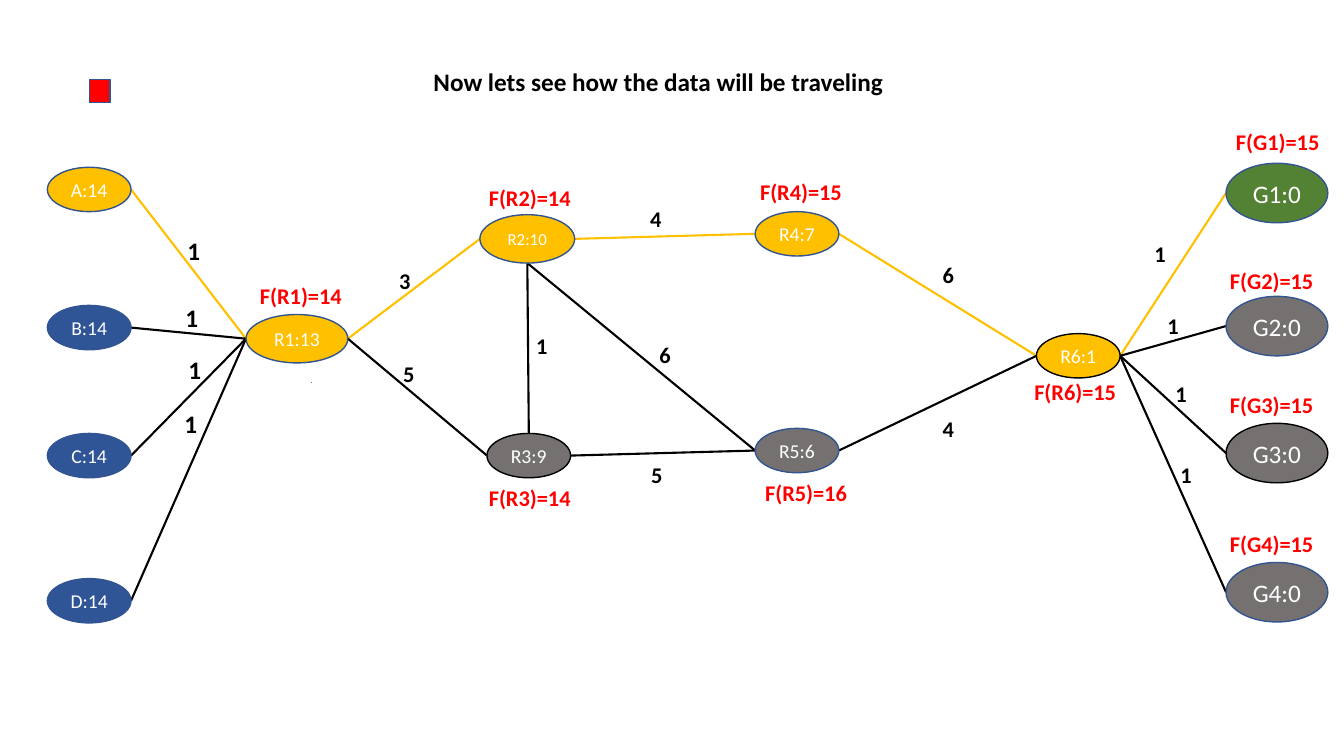
from dataclasses import dataclass

from lxml import etree
from pptx import Presentation
from pptx.dml.color import RGBColor
from pptx.enum import shapes, text
from pptx.oxml import ns
from pptx.util import Inches, Pt

FONT = "Calibri"
BLACK = RGBColor(0x00, 0x00, 0x00)
WHITE = RGBColor(0xFF, 0xFF, 0xFF)
RED = RGBColor(0xFF, 0x00, 0x00)
GOLD = RGBColor(0xFF, 0xC0, 0x00)
GREEN = RGBColor(0x54, 0x82, 0x35)
GRAY = RGBColor(0x76, 0x71, 0x71)
BLUE = RGBColor(0x2F, 0x55, 0x97)
OUTLINE = RGBColor(0x32, 0x54, 0x91)
ACCENT = RGBColor(0x44, 0x72, 0xC4)

SMALL, WIDE, GOAL = (0.83, 0.44), (1.01, 0.48), (1.01, 0.59)


@dataclass(frozen=True)
class Node:
    label: str
    left: float
    top: float
    fill: RGBColor
    size: tuple[float, float] = SMALL
    font_size: int = 14
    outline: RGBColor = OUTLINE

    def side(self, name: str) -> tuple[float, float]:
        """Return the middle of the named side."""
        fx, fy = {"top": (0.5, 0), "left": (0, 0.5),
                  "bottom": (0.5, 1), "right": (1, 0.5)}[name]
        return self.left + fx * self.size[0], self.top + fy * self.size[1]


@dataclass(frozen=True)
class Edge:
    start: str
    end: str
    color: RGBColor = BLACK
    sides: tuple[str, str] = ("right", "left")


@dataclass(frozen=True)
class Label:
    text: str
    left: float
    top: float
    size: tuple[float, float] = (0.35, 0.37)
    font_size: int = 16
    color: RGBColor = BLACK


NODES = {
    "G1": Node("G1:0", 12.16, 1.62, GREEN, GOAL, 18),
    "G2": Node("G2:0", 12.16, 2.94, GRAY, GOAL, 18),
    "G3": Node("G3:0", 12.16, 4.2, GRAY, GOAL, 18, BLACK),
    "G4": Node("G4:0", 12.16, 5.58, GRAY, GOAL, 18),
    "R6": Node("R6:1", 10.28, 3.31, GOLD, outline=BLACK),
    "R2": Node("R2:10", 4.76, 2.13, GOLD, (0.94, 0.48), 12),
    "R3": Node("R3:9", 4.83, 4.3, GRAY, outline=BLACK),
    "R4": Node("R4:7", 7.49, 2.1, GOLD),
    "R5": Node("R5:6", 7.49, 4.25, GRAY),
    "R1": Node("R1:13", 2.44, 3.12, GOLD, WIDE),
    "A": Node("A:14", 0.47, 1.66, GOLD),
    "B": Node("B:14", 0.47, 3.03, BLUE),
    "C": Node("C:14", 0.47, 4.3, BLUE),
    "D": Node("D:14", 0.47, 5.74, BLUE),
}

EDGES = [
    Edge("A", "R1", GOLD),
    *(Edge(source, "R1") for source in "BCD"),
    Edge("R6", "G1", GOLD),
    *(Edge("R6", goal) for goal in ("G2", "G3", "G4")),
    Edge("R2", "R4", GOLD),
    Edge("R2", "R3", sides=("bottom", "top")),
    Edge("R3", "R5"),
    Edge("R1", "R2", GOLD),
    Edge("R1", "R3"),
    Edge("R4", "R6", GOLD),
    Edge("R5", "R6"),
    Edge("R2", "R5", sides=("bottom", "left")),
]

SOURCE_COSTS = [Label("1", left, top, (0.31, 0.4), 18) for left, top in
                [(1.76, 2.29), (1.74, 2.95), (1.77, 3.47), (1.73, 4)]]

COSTS = [Label(*cost) for cost in [
    ("3", 3.86, 2.6), ("5", 3.9, 3.52), ("1", 5.22, 3.25), ("6", 6.44, 3.34),
    ("5", 6.36, 4.53), ("4", 6.35, 1.99), ("6", 9.25, 2.54), ("4", 9.25, 4.07),
    ("1", 11.35, 2.33), ("1", 11.48, 3.05), ("1", 11.56, 3.72), ("1", 11.61, 4.53),
]]

TOTALS = [Label(f"F({name})={total}", left, top, (1.14, 0.37), color=RED)
          for name, total, left, top in [
    ("R1", 14, 2.48, 2.75), ("R2", 14, 4.75, 1.78), ("R3", 14, 4.75, 4.75),
    ("R5", 16, 7.49, 4.7), ("R4", 15, 7.44, 1.72), ("R6", 15, 10.16, 3.7),
    ("G1", 15, 12.16, 1.22), ("G4", 15, 12.1, 5.21), ("G3", 15, 12.1, 3.83),
    ("G2", 15, 12.1, 2.6),
]]


def add_run(p, content: str, size: int, color: RGBColor, bold: bool = True) -> None:
    r = p.add_run()
    r.text = content
    r.font.name = FONT
    r.font.size = Pt(size)
    r.font.bold = bold
    r.font.color.rgb = color


def add_title(s, content: str) -> None:
    sp = s.shapes.title
    sp.left, sp.top = Inches(4.06), Inches(0.61)
    sp.width, sp.height = Inches(4.94), Inches(0.4)
    tf = sp.text_frame
    tf.word_wrap = True
    tf.auto_size = text.MSO_AUTO_SIZE.NONE
    tf.vertical_anchor = text.MSO_ANCHOR.TOP
    p = tf.paragraphs[0]
    p.alignment = text.PP_ALIGN.CENTER
    add_run(p, content, 18, BLACK)


def add_line(s, start: tuple[float, float], end: tuple[float, float],
             color: RGBColor, width: float = 1.5) -> None:
    cxn = s.shapes.add_connector(shapes.MSO_CONNECTOR.STRAIGHT,
                                 *(Inches(v) for v in (*start, *end)))
    cxn.line.color.rgb = color
    cxn.line.width = Pt(width)
    etree.SubElement(cxn._element.spPr, ns.qn("a:effectLst"))


def add_filled(s, kind: shapes.MSO_SHAPE, box: tuple[float, ...],
               fill: RGBColor, outline: RGBColor):
    """Add a flat preset shape with a thin outline."""
    sp = s.shapes.add_shape(kind, *(Inches(v) for v in box))
    sp.shadow.inherit = False
    sp.fill.solid()
    sp.fill.fore_color.rgb = fill
    sp.line.color.rgb = outline
    sp.line.width = Pt(1)
    return sp


def add_node(s, node: Node) -> None:
    sp = add_filled(s, shapes.MSO_SHAPE.OVAL, (node.left, node.top, *node.size),
                    node.fill, node.outline)
    tf = sp.text_frame
    tf.word_wrap = False
    tf.vertical_anchor = text.MSO_ANCHOR.MIDDLE
    p = tf.paragraphs[0]
    p.alignment = text.PP_ALIGN.CENTER
    add_run(p, node.label, node.font_size, WHITE, bold=False)


def add_label(s, label: Label) -> None:
    sp = s.shapes.add_textbox(*(Inches(v) for v in (label.left, label.top, *label.size)))
    tf = sp.text_frame
    tf.word_wrap = True
    tf.auto_size = text.MSO_AUTO_SIZE.SHAPE_TO_FIT_TEXT
    add_run(tf.paragraphs[0], label.text, label.font_size, label.color)


def main() -> None:
    prs = Presentation()
    prs.slide_width, prs.slide_height = Inches(13.33), Inches(7.5)
    s = prs.slides.add_slide(prs.slide_layouts[5])
    add_title(s, "Now lets see how the data will be traveling")
    for edge in EDGES:
        start_side, end_side = edge.sides
        add_line(s, NODES[edge.start].side(start_side),
                 NODES[edge.end].side(end_side), edge.color)
    add_line(s, (3.09, 3.8), (3.09, 3.79), ACCENT, 0.5)
    for cost in SOURCE_COSTS + COSTS:
        add_label(s, cost)
    for node in NODES.values():
        add_node(s, node)
    for total in TOTALS:
        add_label(s, total)
    add_filled(s, shapes.MSO_SHAPE.RECTANGLE, (0.89, 0.79, 0.2, 0.23), RED, OUTLINE)
    prs.save("out.pptx")


if __name__ == "__main__":
    main()
